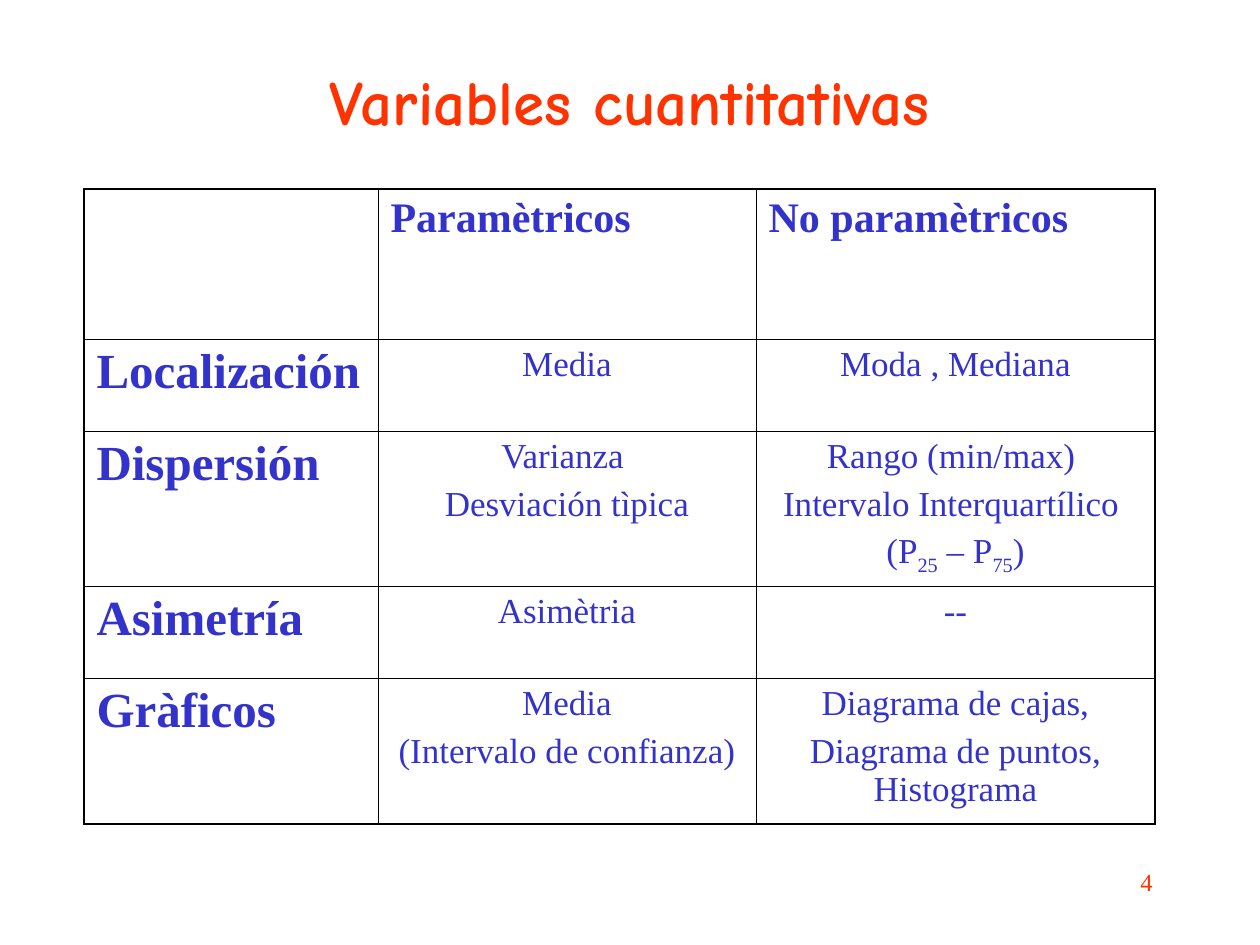
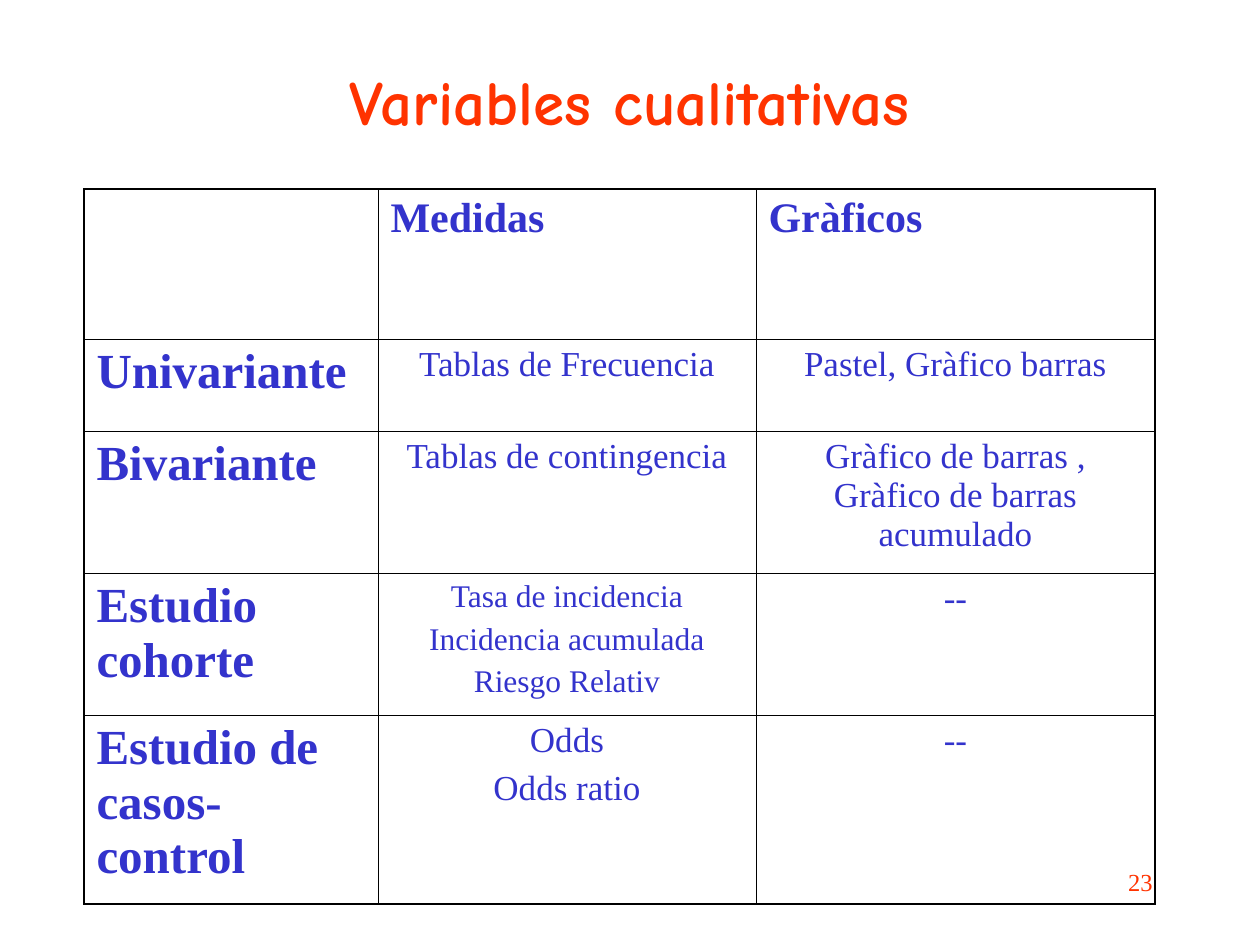
from pptx import Presentation
from pptx.dml.color import RGBColor
from pptx.enum.text import MSO_ANCHOR as ANCHOR, PP_ALIGN as ALIGN
from pptx.oxml.ns import qn
from pptx.util import Pt
from lxml.etree import SubElement

PX = 914400 / 126
COLORS = {"accent": "FF3300", "text": "3333CC", "border": "000000"}
SERIF = "Times New Roman"
FORMATS = {
    "title": {"name": "Comic Neue", "size": Pt(36), "bold": True, "color": "accent"},
    "number": {"name": SERIF, "size": Pt(14), "bold": False, "color": "accent"},
    "heading": {"name": SERIF, "size": Pt(24), "bold": True, "color": "text"},
    "label": {"name": SERIF, "size": Pt(28), "bold": True, "color": "text"},
    "body": {"name": SERIF, "size": Pt(20), "bold": False, "color": "text"},
    "small": {"name": SERIF, "size": Pt(18), "bold": False, "color": "text"},
}
TITLE_BOX = (94, 21, 1071, 158)
NUMBER_BOX = (903, 861, 262, 63)
TABLE_LEFT, TABLE_TOP = 84, 189
COLUMN_WIDTHS = (294, 378, 399)
OUTER, INNER = Pt(1.08), Pt(0.45)

SLIDES = [
    {
        "title": "Variables cuantitativas",
        "number": "4",
        "heights": (150, 92, 155, 92, 146),
        "small_cells": [],
        "rows": [
            ("", "Paramètricos", "No paramètricos"),
            ("Localización", "Media", "Moda , Mediana"),
            ("Dispersión", "Varianza \nDesviación tìpica",
             "Rango (min/max) \nIntervalo Interquartílico \n(P_25_ – P_75_)"),
            ("Asimetría", "Asimètria", "--"),
            ("Gràficos", "Media\n(Intervalo de confianza)",
             "Diagrama de cajas,\nDiagrama de puntos, Histograma"),
        ],
    },
    {
        "title": "Variables cualitativas",
        "number": "23",
        "heights": (150, 92, 142, 142, 189),
        "small_cells": [(3, 1)],
        "rows": [
            ("", "Medidas", "Gràficos"),
            ("Univariante", "Tablas de Frecuencia", "Pastel, Gràfico barras"),
            ("Bivariante", "Tablas de contingencia",
             "Gràfico de barras , Gràfico de barras acumulado"),
            ("Estudio cohorte",
             "Tasa de incidencia\nIncidencia acumulada\nRiesgo Relativ", "--"),
            ("Estudio de casos-control", "Odds\nOdds ratio", "--"),
        ],
    },
]


def px(*lengths):
    return [round(length * PX) for length in lengths]


def write(frame, text, style, align):
    for index, line in enumerate(text.split("\n")):
        paragraph = frame.add_paragraph() if index else frame.paragraphs[0]
        paragraph.alignment = align
        if index:
            paragraph.space_before = FORMATS[style]["size"] // 4
        for part, words in enumerate(line.split("_")):
            run = paragraph.add_run()
            run.text = words
            for key, value in FORMATS[style].items():
                if key == "color":
                    run.font.color.rgb = RGBColor.from_string(COLORS[value])
                else:
                    setattr(run.font, key, value)
            if part % 2:
                run.font._element.set("baseline", "-25000")


presentation = Presentation()
presentation.slide_width, presentation.slide_height = px(1260, 945)

for content in SLIDES:
    slide = presentation.slides.add_slide(presentation.slide_layouts[5])
    title = slide.shapes.title
    title.left, title.top, title.width, title.height = px(*TITLE_BOX)
    title.text_frame.vertical_anchor = ANCHOR.MIDDLE
    write(title.text_frame, content["title"], "title", ALIGN.CENTER)

    rows, heights = content["rows"], content["heights"]
    last_row, last_column = len(rows) - 1, len(COLUMN_WIDTHS) - 1
    table = slide.shapes.add_table(
        len(rows), len(COLUMN_WIDTHS),
        *px(TABLE_LEFT, TABLE_TOP, sum(COLUMN_WIDTHS), sum(heights))).table
    table.first_row = table.horz_banding = False
    for column, width in zip(table.columns, px(*COLUMN_WIDTHS)):
        column.width = width
    for row, height in zip(table.rows, px(*heights)):
        row.height = height

    for r, texts in enumerate(rows):
        for c, text in enumerate(texts):
            cell = table.cell(r, c)
            properties = cell._tc.get_or_add_tcPr()
            edges = {"a:lnL": c == 0, "a:lnR": c == last_column,
                     "a:lnT": r == 0, "a:lnB": r == last_row}
            for tag, is_outer in edges.items():
                line = SubElement(properties, qn(tag), w=str(OUTER if is_outer else INNER))
                fill = SubElement(line, qn("a:solidFill"))
                SubElement(fill, qn("a:srgbClr"), val=COLORS["border"])
            cell.fill.background()
            if not text:
                continue
            if r == 0:
                style = "heading"
            elif c == 0:
                style = "label"
            else:
                style = "small" if (r, c) in content["small_cells"] else "body"
            align = ALIGN.LEFT if r == 0 or c == 0 else ALIGN.CENTER
            write(cell.text_frame, text, style, align)

    number = slide.shapes.add_textbox(*px(*NUMBER_BOX))
    number.text_frame.word_wrap = True
    write(number.text_frame, content["number"], "number", ALIGN.RIGHT)

presentation.save("out.pptx")
